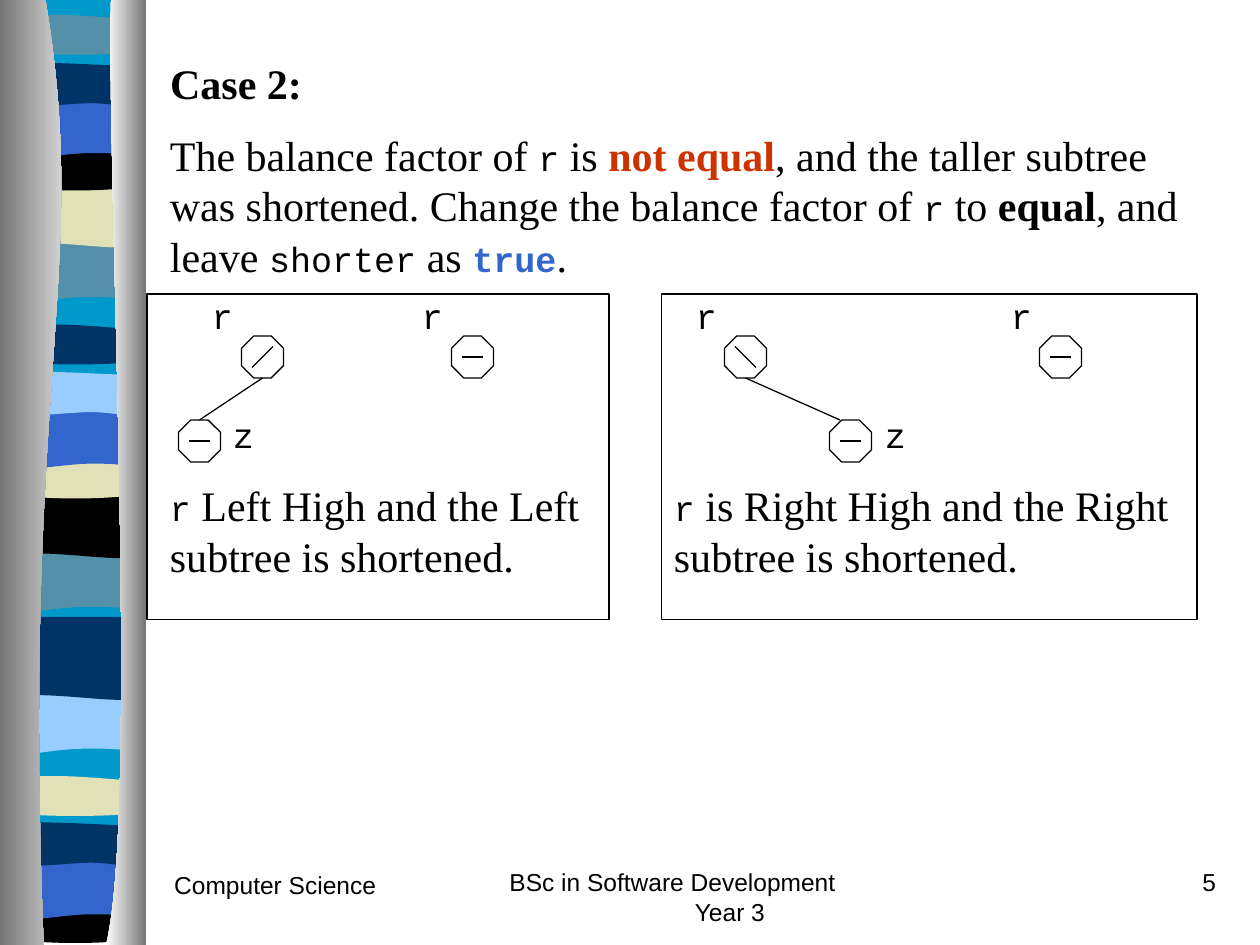
from lxml import etree
from pptx import Presentation
from pptx.dml.color import RGBColor
from pptx.enum.shapes import MSO_CONNECTOR, MSO_SHAPE
from pptx.enum.text import MSO_ANCHOR, PP_ALIGN
from pptx.oxml.ns import qn
from pptx.util import Pt

LINE = MSO_CONNECTOR.STRAIGHT
RECT, OCT = MSO_SHAPE.RECTANGLE, MSO_SHAPE.OCTAGON
TOP = MSO_ANCHOR.TOP
LEFT, RIGHT = PP_ALIGN.LEFT, PP_ALIGN.RIGHT

BLACK = RGBColor(0, 0, 0)
WHITE = RGBColor(0xFF, 0xFF, 0xFF)
RED = RGBColor(0xCC, 0x33, 0x00)
BLUE = RGBColor(0x33, 0x66, 0xCC)
NAVY = RGBColor(0x00, 0x33, 0x66)
CYAN = RGBColor(0x00, 0x99, 0xCC)
TEAL = RGBColor(0x54, 0x90, 0xA8)
SAND = RGBColor(0xE1, 0xE1, 0xB7)
SKY = RGBColor(0x99, 0xCC, 0xFF)
GREY = RGBColor(0x76, 0x76, 0x76)

# Text styles: font, size, bold, colour
STYLES = {
    "text": ("Times New Roman", 24, False, BLACK),
    "bold": ("Times New Roman", 24, True, BLACK),
    "warn": ("Times New Roman", 24, True, RED),
    "code": ("Courier New", 20, False, BLACK),
    "true": ("Courier New", 20, True, BLUE),
    "foot": ("Arial", 14, False, BLACK),
}

# Outlines: a start point, then lines (2 numbers) or Bezier curves (6 numbers)
WAVES = {
    "swell": [(78, 0), (78, 34), (24, 28, 13, 40, 0, 34), (0, 0)],
    "dip": [(78, 0), (78, 46), (65, 51, 24, 41.5, 0, 46), (0, 0)],
    "arch": [(78, 3.5), (78, 21), (65, 24, 13, 24, 0, 21), (0, 3.5),
             (5, 0, 17, 0.5, 30, 0.5), (43, 0.5, 68, 3, 78, 3.5)],
    "bowl": [(78, 0), (78, 23), (65, 27.5, 13, 27.5, 0, 23), (0, 0),
             (48, 3.5, 62, 0, 78, 0)],
    "hill": [(78, 0), (78, 34), (66, 30, 61, 30, 48, 30),
             (35, 30, 12, 34, 0, 34), (0, 0)],
    "flag": [(78, 3.5), (78, 25), (73, 29, 61, 25, 48, 25),
             (35, 25, 8, 29, 0, 25), (0, 3.5), (11, 0, 53, 3.5, 66, 3.5)],
}
# Bands from back to front: outline, top, colour
BANDS = [
    ("swell", 137.5, TEAL), ("dip", 94, SAND), ("arch", 8, TEAL),
    ("bowl", 82.5, BLACK), ("hill", 57.5, BLUE), ("flag", 34, NAVY),
    ("swell", 314.5, TEAL), ("dip", 271.5, BLACK), ("arch", 185, NAVY),
    ("bowl", 258.5, SAND), ("hill", 235, BLUE), ("flag", 210.5, SKY),
    ("swell", 395.5, SKY), ("dip", 352.5, NAVY), ("arch", 443, SAND),
    ("bowl", 512.5, BLACK), ("hill", 492.5, BLUE), ("flag", 468, NAVY),
]
# Pillars: outline, left colour, right colour
PILLARS = [
    ([(26, 0), (52, 155.5, 12, 213, 25, 540), (0, 540), (0, 0)], GREY, WHITE),
    ([(63.5, 0), (60.5, 90, 80, 465, 60.5, 540), (83.5, 540), (83.5, 0)],
     WHITE, GREY),
]

RULE = [
    ("The balance factor of ", "text"), ("r", "code"), (" is ", "text"),
    ("not equal", "warn"),
    (", and the taller subtree was shortened. Change the balance factor of ",
     "text"),
    ("r", "code"), (" to ", "text"), ("equal", "bold"),
    (", and leave ", "text"), ("shorter", "code"), (" as ", "text"),
    ("true", "true"), (".", "text"),
]
NOTE = [
    ("r", "code"), (" Left High and the Left\t", "text"), ("r", "code"),
    (" is Right High and the Right subtree is shortened."
     "\tsubtree is shortened.", "text"),
]
# Paragraphs: runs, line pitch, space before, tab stops
BODY = [
    (RULE, 29, 0, []),
    ([("\tr\tr\tr\tr", "code")], 22, 10, [24, 144, 300.5, 480.5]),
    ([("\tz\tz", "code")], 22, 46, [36, 408.5]),
    (NOTE, 29, 13.5, [288]),
]
# Case frames: left, width
CASES = [(84, 264), (378, 306)]
# Tree nodes: left, top, slope of the balance mark
NODES = [(138, 192, -1), (102, 240, 0), (258, 192, 0),
         (414, 192, 1), (474, 240, 0), (594, 192, 0)]
EDGES = [(150, 216, 114, 240), (426, 216, 480, 240)]


def style(run, name):
    font = run.font
    font.name, size, font.bold, tint = STYLES[name]
    font.size = Pt(size)
    font.color.rgb = tint


def add_runs(para, parts):
    for text, name in parts:
        run = para.add_run()
        run.text = text
        style(run, name)


def add_box(slide, x, y, w, h):
    frame = slide.shapes.add_textbox(Pt(x), Pt(y), Pt(w), Pt(h)).text_frame
    frame.word_wrap = True
    return frame


def add_title(slide, text):
    title = slide.shapes.title
    title.left, title.top = Pt(90), Pt(29)
    title.width, title.height = Pt(600), Pt(36)
    frame = title.text_frame
    frame.vertical_anchor = TOP
    frame.text = text
    frame.paragraphs[0].alignment = LEFT
    style(frame.paragraphs[0].runs[0], "bold")


def set_tabs(para, stops):
    tabs = etree.SubElement(para._p.get_or_add_pPr(), qn("a:tabLst"))
    for stop in stops:
        etree.SubElement(tabs, qn("a:tab"), pos=str(Pt(stop)), algn="l")


def add_body(slide):
    frame = add_box(slide, 90, 70, 600, 317)
    for i, (parts, pitch, gap, stops) in enumerate(BODY):
        para = frame.add_paragraph() if i else frame.paragraphs[0]
        para.line_spacing, para.space_before = Pt(pitch), Pt(gap)
        if stops:
            set_tabs(para, stops)
        add_runs(para, parts)


def add_outline(slide, path, x=0, y=0):
    dots = [(Pt(x + part[i]), Pt(y + part[i + 1]))
            for part in path for i in range(0, len(part), 2)]
    pen = slide.shapes.build_freeform(*dots[0])
    pen.add_line_segments(dots[1:], close=True)
    shape = pen.convert_to_shape()
    shape.shadow.inherit = False
    shape.line.fill.background()
    # Join each three points of a curve into one Bezier segment
    legs = iter(shape._element.findall(".//" + qn("a:lnTo")))
    for part in path[1:]:
        leg = next(legs)
        if len(part) == 6:
            leg.tag = qn("a:cubicBezTo")
            for _ in range(2):
                extra = next(legs)
                leg.append(extra[0])
                extra.getparent().remove(extra)
    return shape


def add_band(slide, path, y, tint):
    fill = add_outline(slide, path, 4, y).fill
    fill.solid()
    fill.fore_color.rgb = tint


def add_pillar(slide, path, start, end):
    fill = add_outline(slide, path).fill
    fill.gradient()
    fill.gradient_angle = 0
    for stop, tint in zip(fill.gradient_stops, (start, end)):
        stop.color.rgb = tint


def add_frame(slide, kind, x, y, w, h):
    shape = slide.shapes.add_shape(kind, Pt(x), Pt(y), Pt(w), Pt(h))
    shape.shadow.inherit = False
    shape.fill.background()
    shape.line.color.rgb = BLACK
    shape.line.width = Pt(0.75)


def add_line(slide, *ends):
    line = slide.shapes.add_connector(LINE, *map(Pt, ends))
    line.line.color.rgb = BLACK
    line.line.width = Pt(0.75)
    etree.SubElement(line._element.spPr, qn("a:effectLst"))


def add_node(slide, x, y, slope):
    add_frame(slide, OCT, x, y, 24, 24)
    rise = 6 * slope
    add_line(slide, x + 6, y + 12 - rise, x + 18, y + 12 + rise)


def add_foot(slide, x, y, w, text, align=LEFT):
    frame = add_box(slide, x, y, w, 36)
    frame.paragraphs[0].alignment = align
    add_runs(frame.paragraphs[0], [(text, "foot")])
    return frame


def main():
    deck = Presentation()
    deck.slide_width, deck.slide_height = Pt(720), Pt(540)
    slide = deck.slides.add_slide(deck.slide_layouts[5])

    # Decorated left edge
    add_band(slide, [(0, 0), (78, 0), (78, 538), (0, 538)], 0, CYAN)
    for wave, y, tint in BANDS:
        add_band(slide, WAVES[wave], y, tint)
    for pillar in PILLARS:
        add_pillar(slide, *pillar)

    # Footer
    add_foot(slide, 92.5, 493.5, 150, "Computer Science")
    course = add_foot(slide, 284, 492, 228, "BSc in Software Development")
    year = course.add_paragraph()
    year._p.get_or_add_pPr().set("marL", str(Pt(106)))
    add_runs(year, [("Year 3", "foot")])
    add_foot(slide, 552, 492, 150, "5", RIGHT)

    # Heading, rule and case notes
    add_title(slide, "Case 2:")
    add_body(slide)

    # Trees and their frames
    for node in NODES:
        add_node(slide, *node)
    for edge in EDGES:
        add_line(slide, *edge)
    for x, w in CASES:
        add_frame(slide, RECT, x, 168, w, 186)
    deck.save("out.pptx")


if __name__ == "__main__":
    main()
